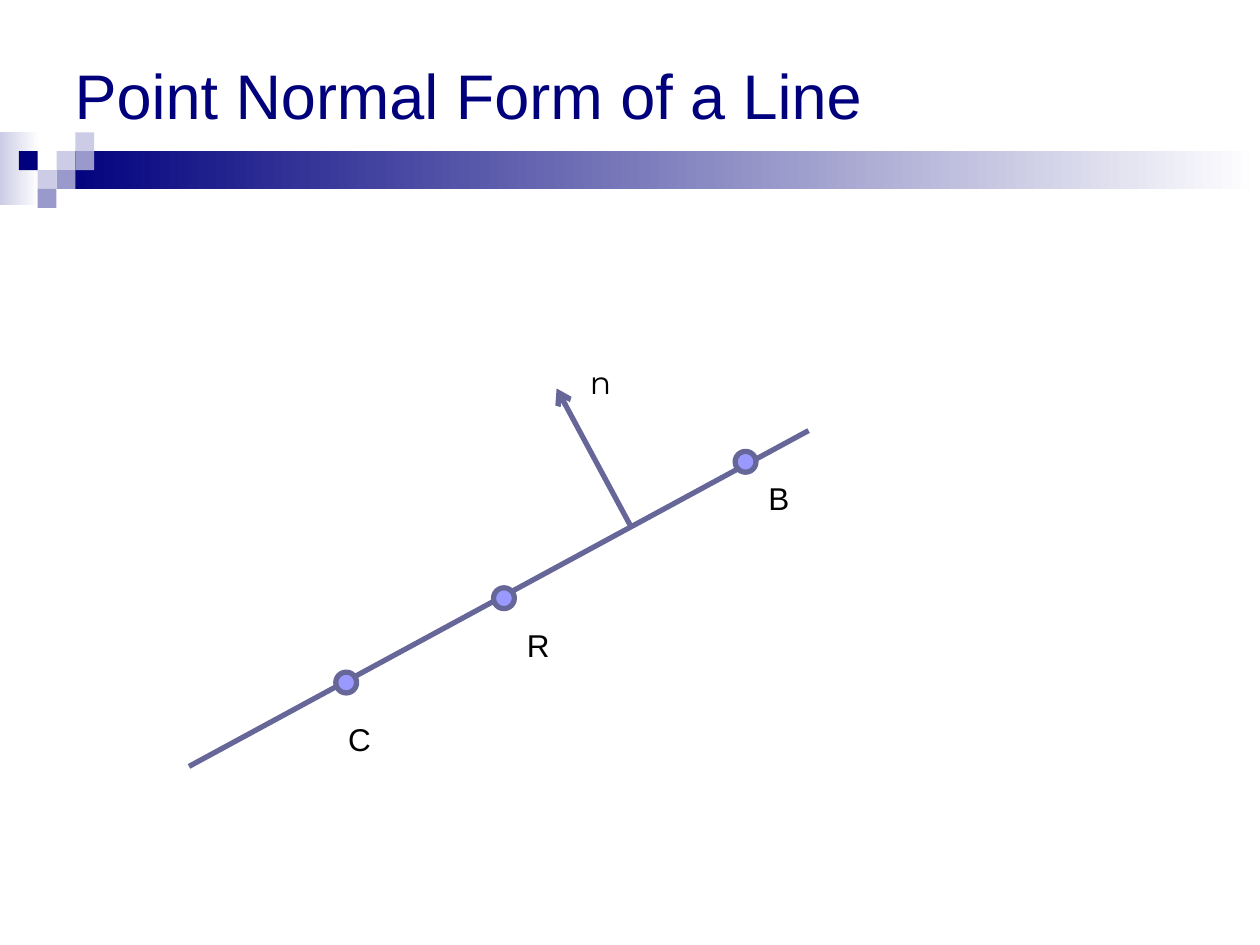
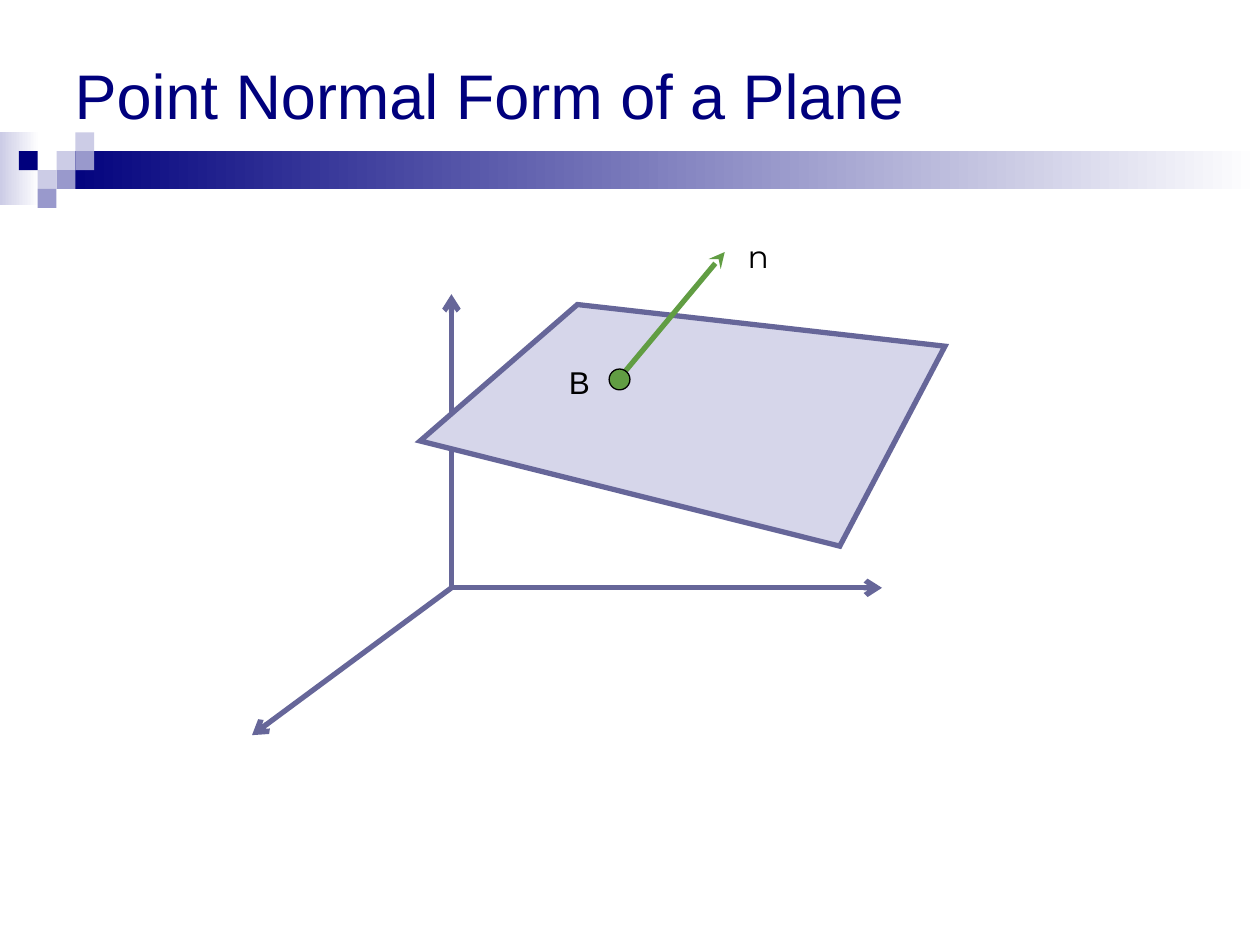
from lxml import etree
from pptx import Presentation
from pptx.dml.color import RGBColor
from pptx.enum.shapes import MSO_CONNECTOR, MSO_SHAPE
from pptx.enum.text import MSO_ANCHOR, MSO_AUTO_SIZE, PP_ALIGN
from pptx.oxml.ns import qn
from pptx.util import Cm, Pt

RECT, OVAL = MSO_SHAPE.RECTANGLE, MSO_SHAPE.OVAL
LINE = MSO_CONNECTOR.STRAIGHT
MIDDLE, LEFT, FIXED = MSO_ANCHOR.MIDDLE, PP_ALIGN.LEFT, MSO_AUTO_SIZE.NONE

# Shared look: colours, fonts and sizes (lengths in cm)
NAVY, PALE, MID, WHITE, BLACK = "00007D", "CCCCE6", "9999CC", "FFFFFF", "000000"
SLATE, BLUE, GREEN, MIST = "666699", "9999FF", "619D43", "D6D6EA"
SANS, MONT = "Arial", "Montserrat"
STROKE, DOT = 3, 0.42
CELL, TOP = 0.38, 2.67
BARS = [(0, TOP, 0.79, 1.47, PALE), (1.14, 3.05, 24.26, 0.76, NAVY)]
# Mosaic squares: column, row, colour
TILES = [(3, 1, PALE), (4, 0, PALE), (4, 1, MID), (2, 2, PALE),
         (1, 1, NAVY), (3, 2, MID), (2, 3, MID)]

# Content: lines (from, to, colour, arrowhead), dots by centre, labels by corner
ORIGIN = (9.1, 11.85)
SLIDES = [
    {"title": "Point Normal Form of a Line",
     "lines": [((3.81, 15.45), (16.3, 8.68), SLATE, None),
               ((12.7, 10.58), (11.22, 7.83), SLATE, "arrow")],
     "dots": [(x, y, BLUE, SLATE, STROKE)
              for x, y in [(6.98, 13.76), (10.16, 12.06), (15.03, 9.31)]],
     "labels": [("n", 11.64, 7.2, MONT), ("B", 15.24, 9.53, SANS),
                ("R", 10.37, 12.49, SANS), ("C", 6.77, 14.39, SANS)]},
    {"title": "Point Normal Form of a Plane",
     "axes": [(ORIGIN, end, SLATE, "arrow")
              for end in [(9.1, 5.93), (5.08, 14.82), (17.78, 11.85)]],
     "plane": [(8.47, 8.89), (11.64, 6.14), (19.05, 6.98), (16.93, 11.01)],
     "lines": [((12.49, 7.62), (14.61, 5.08), GREEN, "stealth")],
     "dots": [(12.49, 7.65, GREEN, BLACK, 0.75)],
     "labels": [("B", 11.22, 7.2, SANS), ("n", 14.82, 4.66, MONT)]},
]


def rgb(code):
    return RGBColor.from_string(code)


def paint(shape, fill, edge=None, width=STROKE):
    shape.shadow.inherit = False
    shape.fill.solid()
    shape.fill.fore_color.rgb = rgb(fill)
    if edge:
        shape.line.color.rgb = rgb(edge)
        shape.line.width = Pt(width)
    else:
        shape.line.fill.background()


def add_box(slide, kind, x, y, w, h):
    return slide.shapes.add_shape(kind, Cm(x), Cm(y), Cm(w), Cm(h))


def style(frame, size, font, color):
    para = frame.paragraphs[0]
    para.alignment = LEFT
    for run in para.runs:
        run.font.size, run.font.name = Pt(size), font
        run.font.color.rgb = rgb(color)


def add_band(slide):
    for x, y, w, h, color in BARS:
        bar = add_box(slide, RECT, x, y, w, h)
        paint(bar, color)
        bar.fill.gradient()
        bar.fill.gradient_angle = 0
        for stop, tone in zip(bar.fill.gradient_stops, (color, WHITE)):
            stop.color.rgb = rgb(tone)
    for col, row, color in TILES:
        paint(add_box(slide, RECT, col * CELL, TOP + row * CELL, CELL, CELL), color)


def add_title(slide, text):
    title = slide.shapes.title
    title.left, title.top, title.width, title.height = Cm(1.25), Cm(0), Cm(22.86), Cm(3.81)
    frame = title.text_frame
    frame.text = text
    frame.auto_size = FIXED
    frame.vertical_anchor = MIDDLE
    style(frame, 36, SANS, NAVY)


def add_line(slide, start, end, color, head):
    line = slide.shapes.add_connector(LINE, *map(Cm, start + end))
    line.line.color.rgb = rgb(color)
    line.line.width = Pt(STROKE)
    props = line.element.spPr
    if head:
        etree.SubElement(props.find(qn("a:ln")), qn("a:tailEnd"), type=head)
    etree.SubElement(props, qn("a:effectLst"))


def add_plane(slide, points):
    first, *rest = [(Cm(x), Cm(y)) for x, y in points]
    path = slide.shapes.build_freeform(*first)
    path.add_line_segments(rest, close=True)
    plane = path.convert_to_shape()
    paint(plane, MIST, SLATE)
    edge = plane.element.spPr.find(qn("a:ln"))
    etree.SubElement(edge, qn("a:miter"), lim="800000")


def add_dot(slide, x, y, fill, edge, width):
    dot = add_box(slide, OVAL, x - DOT / 2, y - DOT / 2, DOT, DOT)
    paint(dot, fill, edge, width)


def add_label(slide, text, x, y, font):
    box = slide.shapes.add_textbox(Cm(x), Cm(y), Cm(1.06), Cm(1.02))
    box.text_frame.word_wrap = True
    box.text_frame.text = text
    style(box.text_frame, 18, font, BLACK)


def main():
    deck = Presentation()
    deck.slide_width, deck.slide_height = Cm(25.4), Cm(19.05)
    for page in SLIDES:
        slide = deck.slides.add_slide(deck.slide_layouts[5])
        add_band(slide)
        add_title(slide, page["title"])
        # The plane hides part of the axes and lies under its normal
        for axis in page.get("axes", []):
            add_line(slide, *axis)
        if "plane" in page:
            add_plane(slide, page["plane"])
        for line in page["lines"]:
            add_line(slide, *line)
        for dot in page["dots"]:
            add_dot(slide, *dot)
        for label in page["labels"]:
            add_label(slide, *label)
    deck.save("out.pptx")


if __name__ == "__main__":
    main()
